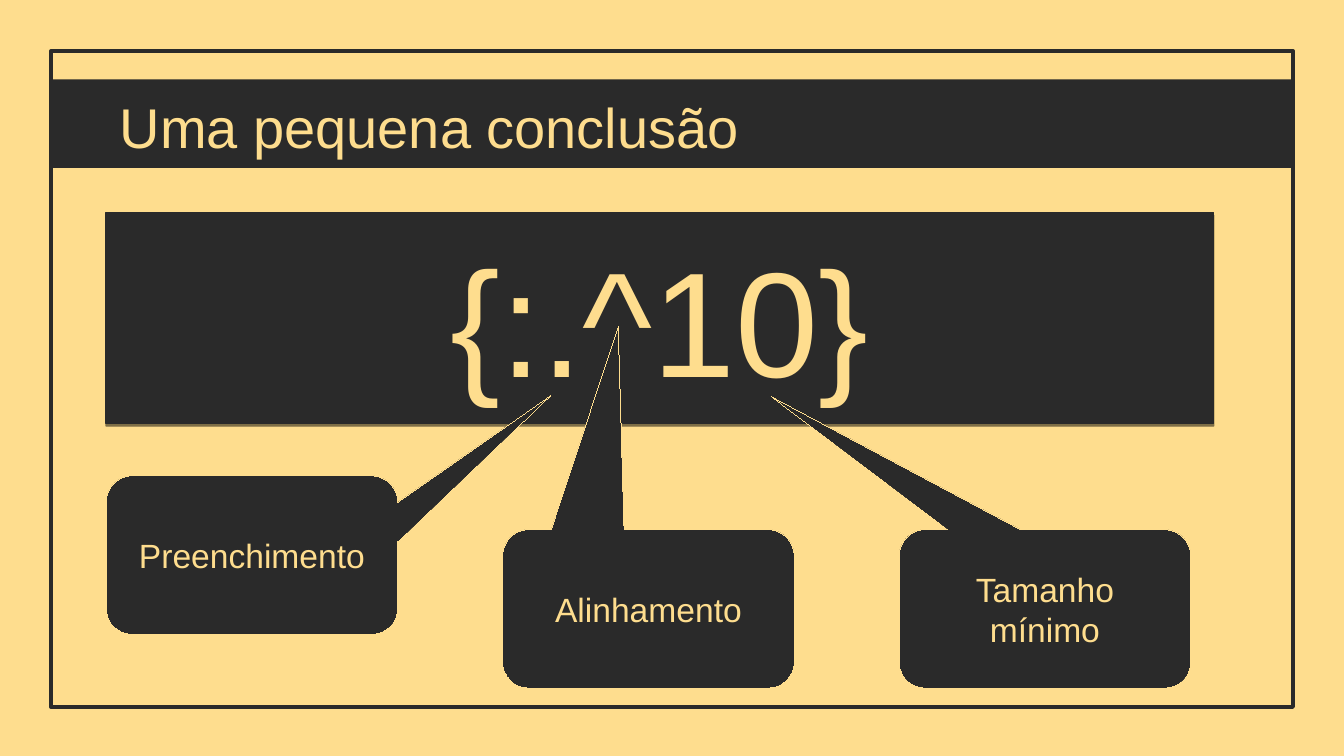
from lxml import etree
from pptx import Presentation
from pptx.dml.color import RGBColor
from pptx.enum.shapes import MSO_SHAPE as Shape
from pptx.enum.text import MSO_ANCHOR as Anchor, PP_ALIGN as Align
from pptx.oxml.ns import qn
from pptx.util import Inches, Pt

DARK, YELLOW = "2A2A2A", "FEDD8E"
HAIRLINE = 0.01


def color(hex_code):
    """Turn a hex string into a colour."""
    return RGBColor.from_string(hex_code)


def write(shape, text, size, align=Align.CENTER, anchor=Anchor.MIDDLE, inset_y=0.1):
    """Write text into a shape, one paragraph per line."""
    frame = shape.text_frame
    frame.word_wrap = True
    frame.vertical_anchor = anchor
    frame.margin_left = frame.margin_right = Inches(0.1)
    frame.margin_top = frame.margin_bottom = Inches(inset_y)
    frame.text = text
    for paragraph in frame.paragraphs:
        paragraph.alignment = align
        paragraph.font.name = "Arial"
        paragraph.font.size = Pt(size)
        paragraph.font.color.rgb = color(YELLOW)


def add_box(slide, preset, box, fill=None, line=None, line_width=HAIRLINE):
    """Add a preset shape with an optional fill and outline."""
    shape = slide.shapes.add_shape(preset, *map(Inches, box))
    shape.shadow.inherit = False
    if fill:
        shape.fill.solid()
        shape.fill.fore_color.rgb = color(fill)
    else:
        shape.fill.background()
    if line:
        shape.line.color.rgb = color(line)
        shape.line.width = Pt(line_width)
    else:
        shape.line.fill.background()
    return shape


def add_drop_shadow(shape):
    """Give a shape a sharp, half transparent shadow just below it."""
    effects = shape._element.spPr.find(qn("a:effectLst"))
    shadow = etree.SubElement(effects, qn("a:outerShdw"), dist=str(Pt(1.5)),
                              dir="5400000", algn="bl", rotWithShape="0")
    tint = etree.SubElement(shadow, qn("a:srgbClr"), val="000000")
    etree.SubElement(tint, qn("a:alpha"), val="50000")


def add_header(slide, box, text):
    """Draw the slide frame and its title band."""
    left, top, width, height = box
    band_top, band_height = top + 0.21, 0.66
    add_box(slide, Shape.RECTANGLE, box, line=DARK, line_width=2.25)
    add_box(slide, Shape.RECTANGLE, (left, band_top, width, band_height), fill=DARK)
    title = slide.shapes.title
    title.left, title.top = Inches(left + 0.41), Inches(band_top)
    title.width, title.height = Inches(6.82), Inches(band_height)
    write(title, text, 30, align=Align.LEFT, anchor=Anchor.TOP)
    slide.shapes._spTree.append(title._element)


def add_format_panel(slide, box, text):
    """Add the panel that shows the format string."""
    panel = add_box(slide, Shape.RECTANGLE, box, DARK, DARK, 0.75)
    add_drop_shadow(panel)
    write(panel, text, 80)


def add_callout(slide, box, text, tip):
    """Add a callout whose tail ends at the tip, a point on the slide."""
    left, top, width, height = box
    callout = add_box(slide, Shape.ROUNDED_RECTANGULAR_CALLOUT, box, DARK, YELLOW)
    callout.adjustments[0] = (tip[0] - left) / width - 0.5
    callout.adjustments[1] = (tip[1] - top) / height - 0.5
    write(callout, text, 18, inset_y=0.05)


def main():
    """Build the slide and save it."""
    deck = Presentation()
    deck.slide_width = Inches(10)
    deck.slide_height = deck.slide_width * 9 // 16
    slide = deck.slides.add_slide(deck.slide_layouts[5])
    slide.background.fill.solid()
    slide.background.fill.fore_color.rgb = color(YELLOW)

    add_header(slide, (0.38, 0.38, 9.24, 4.88), "Uma pequena conclusão")
    add_format_panel(slide, (0.79, 1.58, 8.24, 1.57), "{:.^10}")
    callouts = [
        ("Preenchimento", 3.54, (4.1, 2.94)),
        ("Alinhamento", 3.94, (4.6, 2.43)),
        ("Tamanho\nmínimo", 3.94, (5.74, 2.95)),
    ]
    for column, (text, top, tip) in enumerate(callouts):
        add_callout(slide, (0.79 + 2.95 * column, top, 2.17, 1.18), text, tip)

    deck.save("out.pptx")


if __name__ == "__main__":
    main()
